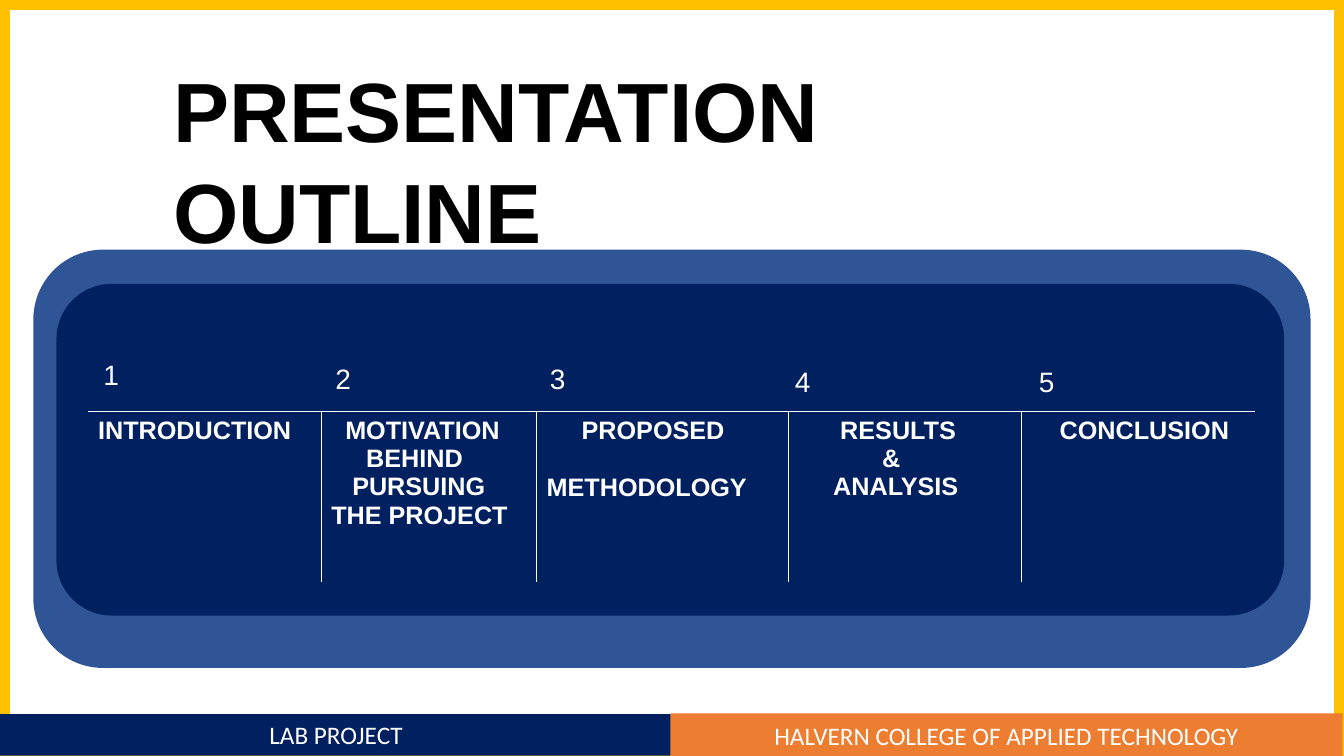
from dataclasses import dataclass

from lxml import etree
from pptx import Presentation
from pptx.dml.color import RGBColor
from pptx.enum.shapes import MSO_SHAPE
from pptx.enum.text import MSO_ANCHOR, MSO_AUTO_SIZE, PP_ALIGN
from pptx.oxml.ns import qn
from pptx.util import Inches, Pt

RECTANGLE = MSO_SHAPE.RECTANGLE
ROUNDED = MSO_SHAPE.ROUNDED_RECTANGLE
OVAL = MSO_SHAPE.OVAL
FRAME = MSO_SHAPE.FRAME
MIDDLE = MSO_ANCHOR.MIDDLE
LEFT, CENTER = PP_ALIGN.LEFT, PP_ALIGN.CENTER
GROW = MSO_AUTO_SIZE.SHAPE_TO_FIT_TEXT

COLORS = {"white": "FFFFFF", "black": "000000", "edge": "1E3256", "blue": "2F5597",
          "navy": "002060", "gold": "FFC000", "orange": "ED7D31"}
FORMATS = {
    "title": {"size": Pt(60), "name": "Arial", "bold": True},
    "number": {"size": Pt(20), "name": "Arial", "bold": False},
    "topic": {"size": Pt(18), "name": "Arial", "bold": True},
    "footer": {"size": Pt(18), "name": "Calibri", "bold": False},
}
PAGE_WIDTH, PAGE_HEIGHT = Inches(13.33), Inches(7.5)
INDENT_STEP = 0.52  # percent of the page width


@dataclass
class Area:
    """Left, top, width and height in percent of the page."""
    left: float
    top: float
    width: float
    height: float


@dataclass
class Panel:
    kind: int
    area: Area
    fill: str


@dataclass
class Line:
    text: str
    indent: int = 0
    space_before: float = 0


@dataclass
class Topic:
    width: float
    number_left: float
    number_top: float
    lines: list[Line]


PANELS = [
    Panel(RECTANGLE, Area(0, 0, 100, 100), "white"),
    Panel(ROUNDED, Area(2.48, 33.03, 95.03, 55.33), "blue"),
    Panel(ROUNDED, Area(4.2, 37.55, 91.35, 43.87), "navy"),
]
TOPICS = [
    Topic(17.35, 6.6, 47.47, [Line("INTRODUCTION")]),
    Topic(16.03, 23.85, 48, [Line("MOTIVATION", 2), Line("BEHIND", 5),
                             Line("PURSUING", 3), Line("THE PROJECT")]),
    Topic(18.72, 39.82, 48, [Line("PROPOSED", 5), Line("METHODOLOGY", 0, 20.7)]),
    Topic(17.37, 58.05, 48.4, [Line("RESULTS", 6), Line("&", 12), Line("ANALYSIS", 5)]),
    Topic(17.37, 76.2, 48.4, [Line("CONCLUSION", 4)]),
]
FOOTERS = [
    (Panel(RECTANGLE, Area(0, 94.48, 50, 5.47), "navy"), "LAB PROJECT"),
    (Panel(RECTANGLE, Area(49.88, 94.35, 50.02, 5.87), "orange"),
     "HALVERN COLLEGE OF APPLIED TECHNOLOGY"),
]


def across(share: float) -> int:
    return round(PAGE_WIDTH * share / 100)


def down(share: float) -> int:
    return round(PAGE_HEIGHT * share / 100)


def place(area: Area) -> tuple[int, int, int, int]:
    return across(area.left), down(area.top), across(area.width), down(area.height)


def color(name: str) -> RGBColor:
    return RGBColor.from_string(COLORS[name])


def write(para, text: str, style: str, ink: str = "white", align=LEFT) -> None:
    para.alignment = align
    span = para.add_run()
    span.text = text
    for attribute, value in FORMATS[style].items():
        setattr(span.font, attribute, value)
    span.font.color.rgb = color(ink)


def draw_panel(page, panel: Panel):
    box = page.shapes.add_shape(panel.kind, *place(panel.area))
    box.shadow.inherit = False
    box.line.fill.background()
    if panel.fill:
        box.fill.solid()
        box.fill.fore_color.rgb = color(panel.fill)
    else:
        box.fill.background()
    return box


def draw_label(page, panel: Panel, text: str, style: str) -> None:
    frame = draw_panel(page, panel).text_frame
    frame.vertical_anchor = MIDDLE
    write(frame.paragraphs[0], text, style, align=CENTER)


def set_borders(cell, visible: dict[str, bool]) -> None:
    properties = cell._tc.get_or_add_tcPr()
    for position, (side, shown) in enumerate(visible.items()):
        border = etree.Element(qn(f"a:ln{side}"), w=str(Pt(1)))
        if shown:
            fill = etree.SubElement(border, qn("a:solidFill"))
            etree.SubElement(fill, qn("a:srgbClr"), val=COLORS["white"])
        else:
            etree.SubElement(border, qn("a:noFill"))
        properties.insert(position, border)


def draw_topics(page, area: Area) -> None:
    table = page.shapes.add_table(1, len(TOPICS), *place(area)).table
    table.first_row = table.horz_banding = False
    last = len(TOPICS) - 1
    for index, topic in enumerate(TOPICS):
        table.columns[index].width = across(topic.width)
        cell = table.cell(0, index)
        cell.fill.background()
        set_borders(cell, {"L": index > 0, "R": index < last, "T": True, "B": False})
        frame = cell.text_frame
        for order, line in enumerate(topic.lines):
            para = frame.add_paragraph() if order else frame.paragraphs[0]
            write(para, line.text, "topic")
            para.space_before = Pt(line.space_before)
            para._p.get_or_add_pPr().set("marL", str(across(line.indent * INDENT_STEP)))


def draw_title(page, area: Area, text: str) -> None:
    frame = page.shapes.add_textbox(*place(area)).text_frame
    frame.word_wrap = True
    frame.auto_size = GROW
    frame.vertical_anchor = MIDDLE
    write(frame.paragraphs[0], text, "title", "black")


def main() -> None:
    deck = Presentation()
    deck.slide_width, deck.slide_height = PAGE_WIDTH, PAGE_HEIGHT
    page = deck.slides.add_slide(deck.slide_layouts[6])

    # Backdrop and the two rounded panels
    backdrop, *_ = [draw_panel(page, panel) for panel in PANELS]
    backdrop.line.color.rgb = color("edge")
    backdrop.line.width = Pt(1)
    tint = backdrop.fill._xPr.find(f".//{qn('a:srgbClr')}")
    etree.SubElement(tint, qn("a:alpha"), val="90000")

    # Topics, title and numbers
    draw_topics(page, Area(6.55, 54.43, 86.84, 22.53))
    draw_title(page, Area(12.15, 13.65, 75.38, 14.8), "PRESENTATION OUTLINE")
    for number, topic in enumerate(TOPICS, start=1):
        spot = Area(topic.number_left, topic.number_top, 2.48, 4)
        draw_label(page, Panel(OVAL, spot, ""), str(number), "number")

    # Gold border and footer
    border = draw_panel(page, Panel(FRAME, Area(0, 0, 100, 100), "gold"))
    border.adjustments[0] = 0.013
    for panel, text in FOOTERS:
        draw_label(page, panel, text, "footer")

    deck.save("out.pptx")


if __name__ == "__main__":
    main()
